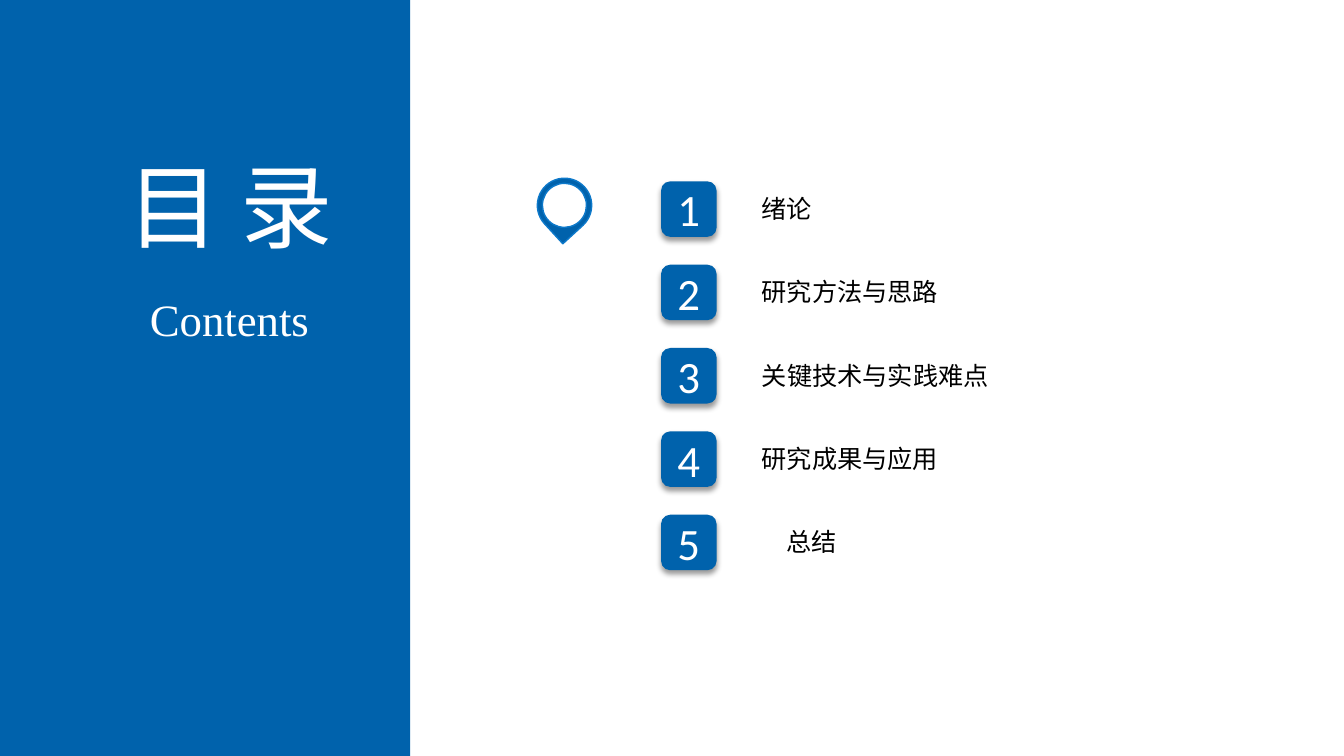
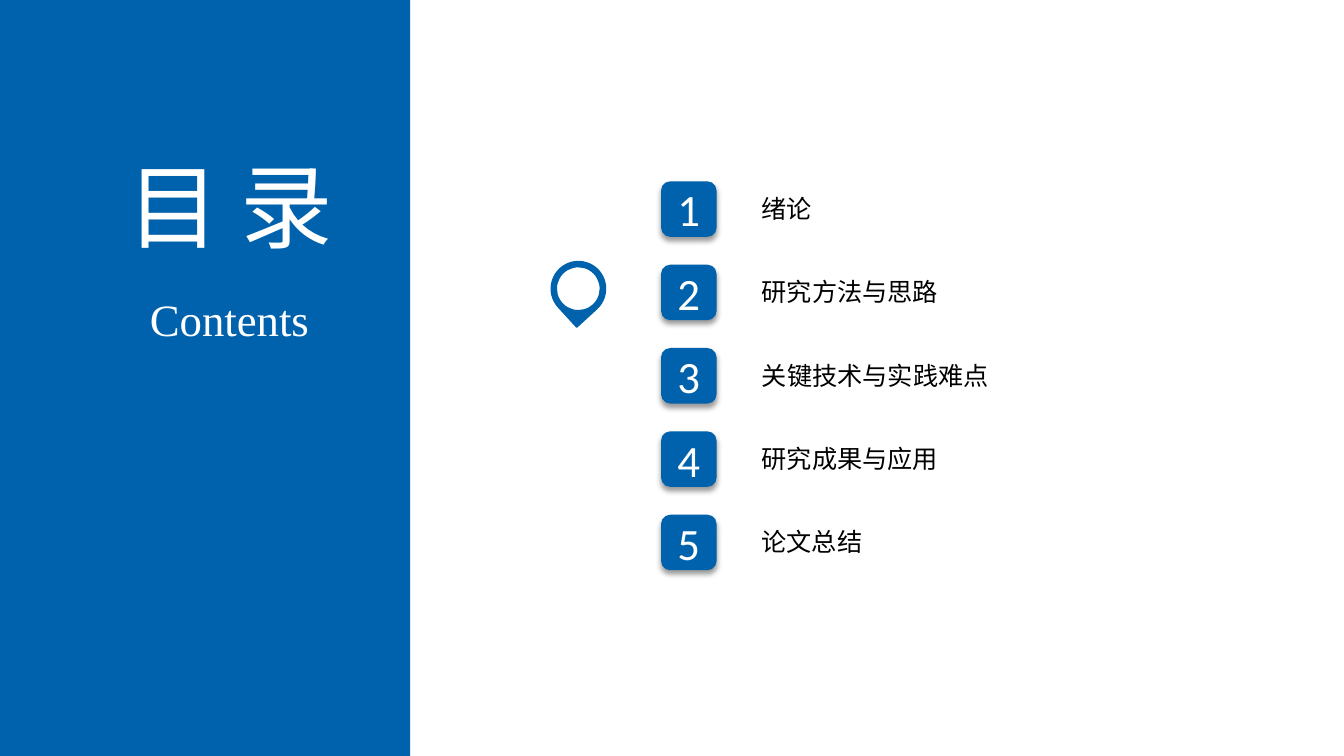
from lxml.etree import SubElement
from pptx import Presentation
from pptx.dml.color import RGBColor
from pptx.enum.shapes import MSO_SHAPE
from pptx.enum.text import MSO_ANCHOR, MSO_AUTO_SIZE, PP_ALIGN
from pptx.oxml.ns import qn
from pptx.util import Cm, Pt

COLOURS = {"blue": "0062AC", "bright": "0D79CA", "white": "FFFFFF", "black": "000000"}
CJK, LATIN, DIGITS = "Noto Sans CJK SC", "Times New Roman", "Calibri"
SLIDE_WIDTH, SLIDE_HEIGHT, BAND_WIDTH = 33.87, 19.05, 10.34
ROW_TOP, ROW_STEP = 4.57, 2.1
BADGE_LEFT, BADGE_SIZE = 16.66, 1.4
LABEL_LEFT, LABEL_HEIGHT, LABEL_DROP = 18.92, 1.02, 0.17
CHARACTER_WIDTH, LABEL_PADDING = 0.64, 0.52
PIN_SIZE, PIN_RISE, PIN_BORDER = 1.37, 0.08, 0.13

TOPICS = ["绪论", "研究方法与思路", "关键技术与实践难点", "研究成果与应用"]


def colour(name):
    return RGBColor.from_string(COLOURS[name])


def write_text(shape, text, size, font, ink):
    frame = shape.text_frame
    frame.text = text
    frame.word_wrap = False
    frame.auto_size = MSO_AUTO_SIZE.NONE
    frame.vertical_anchor = MSO_ANCHOR.MIDDLE
    para = frame.paragraphs[0]
    para.alignment = PP_ALIGN.CENTER
    span = para.runs[0]
    span.font.size = Pt(size)
    span.font.name = font
    span.font.color.rgb = colour(ink)
    SubElement(span.font._element, qn("a:ea"), typeface=font)


def add_text(page, text, left, top, width, height, size, font, ink):
    box = page.shapes.add_textbox(Cm(left), Cm(top), Cm(width), Cm(height))
    write_text(box, text, size, font, ink)


def add_figure(shapes, kind, left, top, width, height, fill, line=None):
    figure = shapes.add_shape(kind, Cm(left), Cm(top), Cm(width), Cm(height))
    figure.shadow.inherit = False
    figure.fill.solid()
    figure.fill.fore_color.rgb = colour(fill)
    if line:
        figure.line.color.rgb = colour(line)
        figure.line.width = Pt(1)
    else:
        figure.line.fill.background()
    return figure


def add_drop_shadow(shape):
    effects = shape.element.spPr.find(qn("a:effectLst"))
    shadow = SubElement(effects, qn("a:outerShdw"), blurRad=str(Pt(4)), dist=str(Pt(3)),
                        dir="5400000", algn="t", rotWithShape="0")
    black = SubElement(shadow, qn("a:srgbClr"), val=COLOURS["black"])
    SubElement(black, qn("a:alpha"), val="40000")


def add_badge(page, number, top):
    badge = add_figure(page.shapes, MSO_SHAPE.ROUNDED_RECTANGLE,
                       BADGE_LEFT, top, BADGE_SIZE, BADGE_SIZE, "blue")
    add_drop_shadow(badge)
    frame = badge.text_frame
    frame.margin_left = frame.margin_right = frame.margin_top = frame.margin_bottom = 0
    write_text(badge, str(number), 32, DIGITS, "white")


def add_topic(page, row, topic, indent):
    top = ROW_TOP + row * ROW_STEP
    add_badge(page, row + 1, top)
    add_text(page, topic, LABEL_LEFT + indent * CHARACTER_WIDTH, top + LABEL_DROP,
             len(topic) * CHARACTER_WIDTH + LABEL_PADDING, LABEL_HEIGHT, 18, CJK, "black")


def add_pin(page, row, left, line):
    top = ROW_TOP + row * ROW_STEP - PIN_RISE
    pin = page.shapes.add_group_shape()
    drop = add_figure(pin.shapes, MSO_SHAPE.TEAR, left, top, PIN_SIZE, PIN_SIZE, "blue", line)
    drop.rotation = 137.5
    hole = PIN_SIZE - 2 * PIN_BORDER
    add_figure(pin.shapes, MSO_SHAPE.OVAL, left + PIN_BORDER, top + PIN_BORDER,
               hole, hole, "white", line)


def add_title_band(page):
    band = add_figure(page.shapes, MSO_SHAPE.RECTANGLE, 0, 0, BAND_WIDTH, SLIDE_HEIGHT, "blue")
    title = page.shapes.title
    title.element.addprevious(band.element)
    title.left, title.top, title.width, title.height = Cm(2.59), Cm(3.63), Cm(6.4), Cm(3.07)
    write_text(title, "目 录", 66, CJK, "white")
    add_text(page, "Contents", 3.5, 7.21, 4.57, 1.63, 32, LATIN, "white")


def add_contents_page(deck, closing, closing_indent, pin_row, pin_left, pin_line):
    page = deck.slides.add_slide(deck.slide_layouts[5])
    add_title_band(page)
    for row, topic in enumerate(TOPICS + [closing]):
        add_topic(page, row, topic, closing_indent if topic == closing else 0)
    add_pin(page, pin_row, pin_left, pin_line)


def main():
    deck = Presentation()
    deck.slide_width, deck.slide_height = Cm(SLIDE_WIDTH), Cm(SLIDE_HEIGHT)
    add_contents_page(deck, "总结", 1, 0, 13.54, "bright")
    add_contents_page(deck, "论文总结", 0, 1, 13.89, "blue")
    deck.save("out.pptx")


if __name__ == "__main__":
    main()
